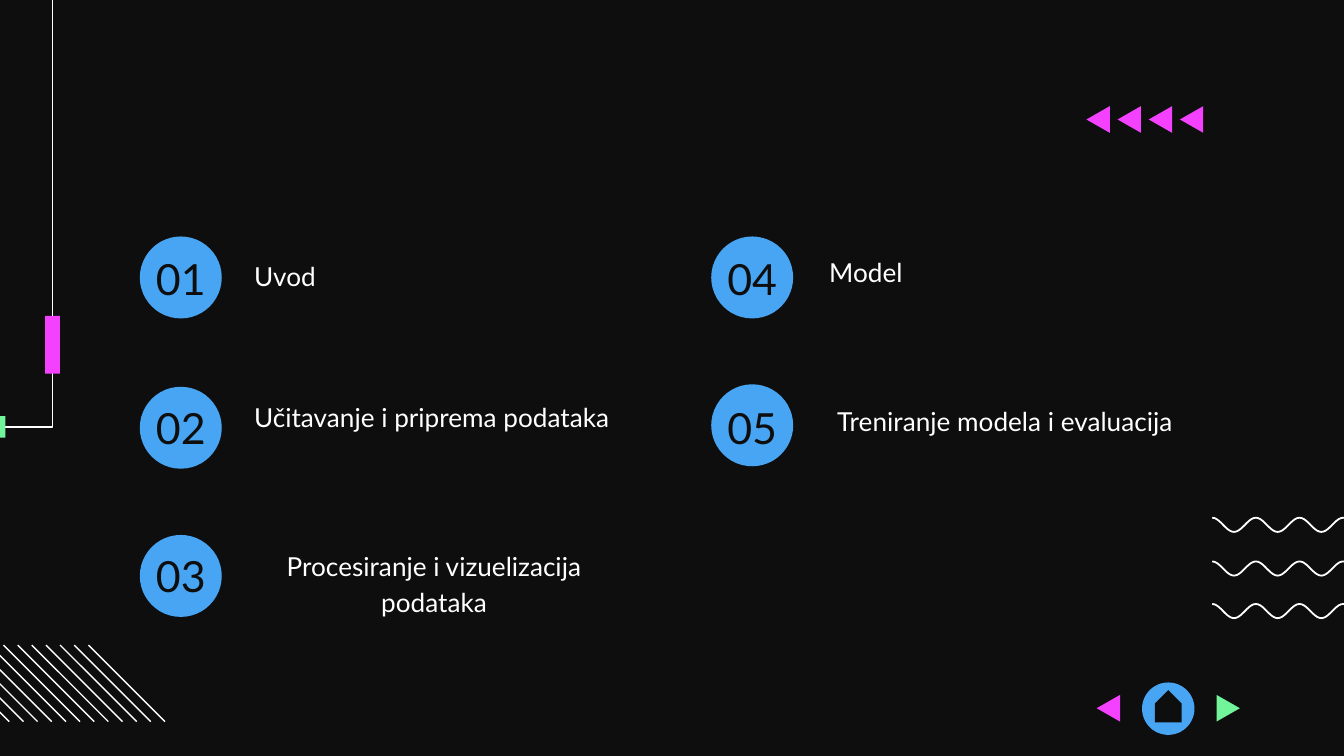
from dataclasses import dataclass
from math import cos, pi

from lxml.etree import SubElement
from pptx import Presentation
from pptx.dml.color import RGBColor
from pptx.enum.shapes import MSO_CONNECTOR, MSO_SHAPE
from pptx.enum.text import MSO_ANCHOR, MSO_AUTO_SIZE, PP_ALIGN
from pptx.oxml.ns import qn
from pptx.util import Pt

COLORS = {"dark": "0E0E0E", "white": "FFFFFF", "blue": "47A5F3",
          "pink": "F341FF", "green": "72F49A"}
DISC = 43.9


@dataclass(frozen=True)
class Box:
    left: float
    top: float
    width: float
    height: float

    def lengths(self) -> list:
        return [Pt(v) for v in (self.left, self.top, self.width, self.height)]


@dataclass(frozen=True)
class Style:
    size: float
    color: str
    inset: float
    para: dict


@dataclass(frozen=True)
class Topic:
    number: str
    text: str
    column: float
    disc: float
    row: float
    box: Box
    align: PP_ALIGN = PP_ALIGN.LEFT
    margin: float = 0
    indent: float = 0


NUMBER = Style(23, "dark", 14.4, {"line_spacing": 1.0, "space_after": Pt(0)})
CAPTION = Style(14, "white", 0, {"line_spacing": 1.15, "space_after": Pt(12)})

TOPICS = [
    Topic("01", "Uvod", 74.9, 126.7, 121, Box(128.9, 136.8, 227.5, 28)),
    Topic("02", "Učitavanje i priprema podataka", 74.9, 207.2, 200.9,
          Box(128.9, 212.4, 236, 39.6)),
    Topic("03", "Procesiranje i vizuelizacija podataka", 74.9, 286.6, 280.1,
          Box(118.8, 292.3, 227.5, 28), PP_ALIGN.CENTER),
    Topic("04", "Model", 381, 126.7, 121, Box(437, 134.6, 227.5, 28)),
    Topic("05", "Treniranje modela i evaluacija", 381, 205.9, 200.9,
          Box(430.6, 214.6, 227.5, 28), margin=36, indent=-25.2),
]


def rgb(name: str) -> RGBColor:
    return RGBColor.from_string(COLORS[name])


def assign(target, values: dict) -> None:
    for name, value in values.items():
        setattr(target, name, value)


def paint(shape, color: str):
    shape.shadow.inherit = False
    shape.fill.solid()
    shape.fill.fore_color.rgb = rgb(color)
    shape.line.fill.background()
    return shape


def outline(line, width: float) -> None:
    line.color.rgb = rgb("white")
    line.width = Pt(width)


def block(slide, kind: MSO_SHAPE, box: Box, color: str):
    return paint(slide.shapes.add_shape(kind, *box.lengths()), color)


def trace(slide, points: list, close: bool):
    pairs = [(Pt(x), Pt(y)) for x, y in points]
    pen = slide.shapes.build_freeform(*pairs[0])
    pen.add_line_segments(pairs[1:], close=close)
    return pen.convert_to_shape()


def stroke(slide, points: list, width: float) -> None:
    """Draw an open white line through the points."""
    shape = trace(slide, points, False)
    shape.shadow.inherit = False
    shape.fill.background()
    outline(shape.line, width)


def arrow(slide, base: float, tip: float, top: float, color: str) -> None:
    """Draw a triangle from its upright base to its tip."""
    points = [(base, top), (tip, top + 7.15), (base, top + 14.3)]
    paint(trace(slide, points, True), color)


def label(slide, holder, text: str, box: Box, style: Style, align: PP_ALIGN,
          margin: float = 0, indent: float = 0) -> None:
    """Fill the holder, or a new text box if there is none, on top of the rest."""
    shape = holder or slide.shapes.add_textbox(*box.lengths())
    slide.shapes.element.append(shape.element)
    assign(shape, dict(zip(("left", "top", "width", "height"), box.lengths())))
    frame = shape.text_frame
    assign(frame, {"word_wrap": True, "auto_size": MSO_AUTO_SIZE.NONE,
                   "vertical_anchor": MSO_ANCHOR.TOP,
                   "margin_left": Pt(7.2), "margin_right": Pt(7.2),
                   "margin_top": Pt(style.inset), "margin_bottom": Pt(7.2)})
    para = frame.paragraphs[0]
    assign(para, {"alignment": align, "space_before": Pt(0), **style.para})
    props = para._p.get_or_add_pPr()
    props.set("marL", str(Pt(margin)))
    props.set("indent", str(Pt(indent)))
    SubElement(props, qn("a:buNone"))
    run = para.add_run()
    run.text = text
    assign(run.font, {"name": "Lato", "size": Pt(style.size), "bold": False})
    run.font.color.rgb = rgb(style.color)


def waves(slide) -> None:
    left, half, steps = 649.4, 11.7, 10
    for top in (277.4, 300.8, 323.6):
        points = [(left + half * i / steps, top + 3.8 * (1 - cos(pi * i / steps)))
                  for i in range(7 * steps + 1)]
        stroke(slide, points, 0.95)


def hatch(slide) -> None:
    for i in range(12):
        left = -36 + 7.58 * i
        line = slide.shapes.add_connector(
            MSO_CONNECTOR.STRAIGHT, Pt(left), Pt(345.6), Pt(left + 41), Pt(386.6))
        outline(line.line, 0.75)
        SubElement(line.element.spPr, qn("a:effectLst"))


def corner(slide) -> None:
    stroke(slide, [(-283, 228.7), (28.1, 228.7), (28.1, -15.8)], 0.75)
    block(slide, MSO_SHAPE.RECTANGLE, Box(-8.6, 223, 11.5, 11.5), "green")
    block(slide, MSO_SHAPE.RECTANGLE, Box(24.2, 169.2, 7.9, 31), "pink")


def topics(slide) -> None:
    title, *bodies = slide.placeholders
    for topic in TOPICS:
        block(slide, MSO_SHAPE.OVAL,
              Box(topic.column, topic.disc, DISC, DISC), "blue")
    for i, topic in enumerate(TOPICS):
        spot = Box(topic.column - 10.4, topic.row, 64.8, DISC)
        label(slide, None if i else title, topic.number, spot, NUMBER,
              PP_ALIGN.CENTER)
        label(slide, bodies[i] if i < len(bodies) else None, topic.text,
              topic.box, CAPTION, topic.align, topic.margin, topic.indent)


def controls(slide) -> None:
    for i in range(4):
        tip = 582 + 16.7 * i
        arrow(slide, tip + 12.5, tip, 56.9, "pink")
    block(slide, MSO_SHAPE.OVAL, Box(611.8, 365.6, 28.1, 28.1), "blue")
    home = block(slide, MSO_SHAPE.PENTAGON, Box(617.2, 371.2, 17.3, 14.4), "dark")
    home.rotation = 270
    arrow(slide, 600, 587.5, 372.3, "pink")
    arrow(slide, 651.7, 664.2, 372.3, "green")


def main() -> None:
    deck = Presentation()
    assign(deck, {"slide_width": Pt(720), "slide_height": Pt(405)})
    slide = deck.slides.add_slide(deck.slide_layouts.get_by_name("Comparison"))
    slide.background.fill.solid()
    slide.background.fill.fore_color.rgb = rgb("dark")
    for draw in (waves, hatch, corner, topics, controls):
        draw(slide)
    deck.save("out.pptx")


if __name__ == "__main__":
    main()
